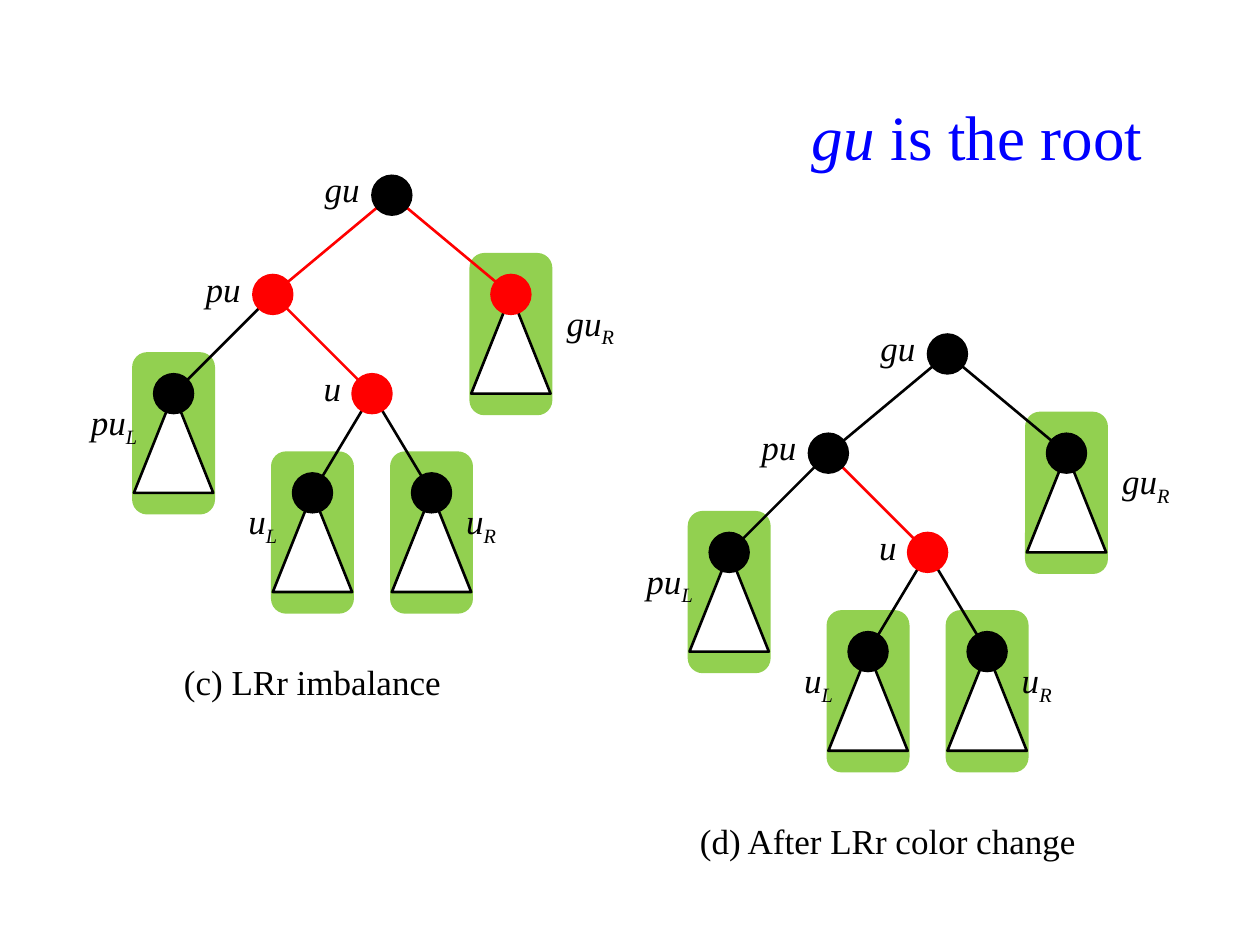
from dataclasses import dataclass

import pptx
import pptx.dml.color
import pptx.enum.shapes
import pptx.enum.text
import pptx.oxml.ns
import pptx.util
from lxml import etree

SHAPE = pptx.enum.shapes.MSO_SHAPE
ANCHOR = pptx.enum.text.MSO_ANCHOR


@dataclass(frozen=True)
class Theme:
    black: str = "000000"
    red: str = "FF0000"
    green: str = "92D050"
    white: str = "FFFFFF"
    blue: str = "0000FF"
    font: str = "Times New Roman"
    label: int = 20
    title: int = 36
    edge: float = 1.5


@dataclass(frozen=True)
class Node:
    name: str
    sub: str
    col: int
    row: int
    parent: str
    label_dx: int
    label_dy: int
    label_cols: int

    @property
    def key(self) -> str:
        return self.name + self.sub


@dataclass(frozen=True)
class Tree:
    col: float
    row: float
    red: tuple[str, ...]
    caption: str
    caption_dx: int
    caption_cols: int


T = Theme()
NODES = [
    Node("gu", "", 0, 0, "", -4, -1, 3),
    Node("pu", "", -6, 5, "gu", -4, -1, 3),
    Node("gu", "R", 6, 5, "gu", 2, 1, 4),
    Node("pu", "L", -11, 10, "pu", -5, 1, 4),
    Node("u", "", -1, 10, "pu", -3, -1, 2),
    Node("u", "L", -4, 15, "u", -4, 1, 3),
    Node("u", "R", 2, 15, "u", 1, 1, 3),
]
TREES = [
    Tree(19.75, 9.84, ("pu", "u", "guR"), "(c) LRr imbalance", -12, 16),
    Tree(47.75, 17.84, ("u",), "(d) After LRr color change", -14, 22),
]

prs = pptx.Presentation()
prs.slide_width = pptx.util.Inches(10)
prs.slide_height = pptx.util.Inches(7.5)
s = prs.slides.add_slide(prs.slide_layouts[6])
UNIT = prs.slide_width / 63.5


def grid(*cells: float) -> list[int]:
    return [round(c * UNIT) for c in cells]


def rgb(color: str) -> pptx.dml.color.RGBColor:
    return pptx.dml.color.RGBColor.from_string(color)


def add_shape(kind, col: float, row: float, cols: float, rows: float,
              fill: str, line: str, width: float) -> None:
    sp = s.shapes.add_shape(kind, *grid(col, row, cols, rows))
    sp.shadow.inherit = False
    sp.fill.solid()
    sp.fill.fore_color.rgb = rgb(fill)
    sp.line.color.rgb = rgb(line)
    sp.line.width = pptx.util.Pt(width)


def add_edge(start: tuple[float, float], end: tuple[float, float], color: str) -> None:
    cx = s.shapes.add_connector(
        pptx.enum.shapes.MSO_CONNECTOR.STRAIGHT, *grid(*start, *end))
    cx.line.color.rgb = rgb(color)
    cx.line.width = pptx.util.Pt(T.edge)
    etree.SubElement(cx._element.spPr, pptx.oxml.ns.qn("a:effectLst"))


def add_text(text: str, col: float, row: float, cols: float, rows: float, *,
             size: int = T.label, color: str = T.black, italic: bool = False,
             sub: str = "", tail: str = "", anchor=ANCHOR.MIDDLE,
             wrap: bool = True, insets: tuple[float, float, float] = (0.1, 0.05, 0.05)) -> None:
    tf = s.shapes.add_textbox(*grid(col, row, cols, rows)).text_frame
    tf.word_wrap = wrap
    tf.vertical_anchor = anchor
    side, top, bottom = map(pptx.util.Inches, insets)
    tf.margin_left = tf.margin_right = side
    tf.margin_top, tf.margin_bottom = top, bottom
    p = tf.paragraphs[0]
    p.alignment = pptx.enum.text.PP_ALIGN.CENTER
    for part, slanted, base in ((text, italic, 0), (sub, italic, -25000), (tail, False, 0)):
        if not part:
            continue
        r = p.add_run()
        r.text = part
        r.font.name = T.font
        r.font.size = pptx.util.Pt(size)
        r.font.italic = slanted
        r.font.color.rgb = rgb(color)
        if base:
            r._r.get_or_add_rPr().set("baseline", str(base))


def draw_tree(tree: Tree) -> None:
    at = {n.key: (tree.col + n.col, tree.row + n.row) for n in NODES}
    colors = {n.key: T.red if n.key in tree.red else T.black for n in NODES}
    subtrees = [at[n.key] for n in NODES if n.sub]
    for x, y in subtrees:
        add_shape(SHAPE.FLOWCHART_ALTERNATE_PROCESS, x - 2, y - 2, 4, 8, T.green, T.green, 2)
    for n in NODES:
        if n.parent:
            add_edge(at[n.parent], at[n.key], colors[n.key])
    for x, y in subtrees:
        add_shape(SHAPE.ISOSCELES_TRIANGLE, x - 2, y, 4, 5, T.white, T.black, T.edge)
    for n in NODES:
        x, y = at[n.key]
        color = colors[n.key]
        add_shape(SHAPE.OVAL, x - 1, y - 1, 2, 2, color, color, 1)
        add_text(n.name, x + n.label_dx, y + n.label_dy, n.label_cols, 2, sub=n.sub,
                 italic=True, anchor=ANCHOR.BOTTOM, wrap=False, insets=(0.08, 0, 0.04))
    add_text(tree.caption, tree.col + tree.caption_dx, tree.row + 23, tree.caption_cols, 3)


for tree in TREES:
    draw_tree(tree)
add_text("gu", 36.75, 3.84, 25, 6, tail=" is the root",
         size=T.title, color=T.blue, italic=True)
prs.save("out.pptx")
